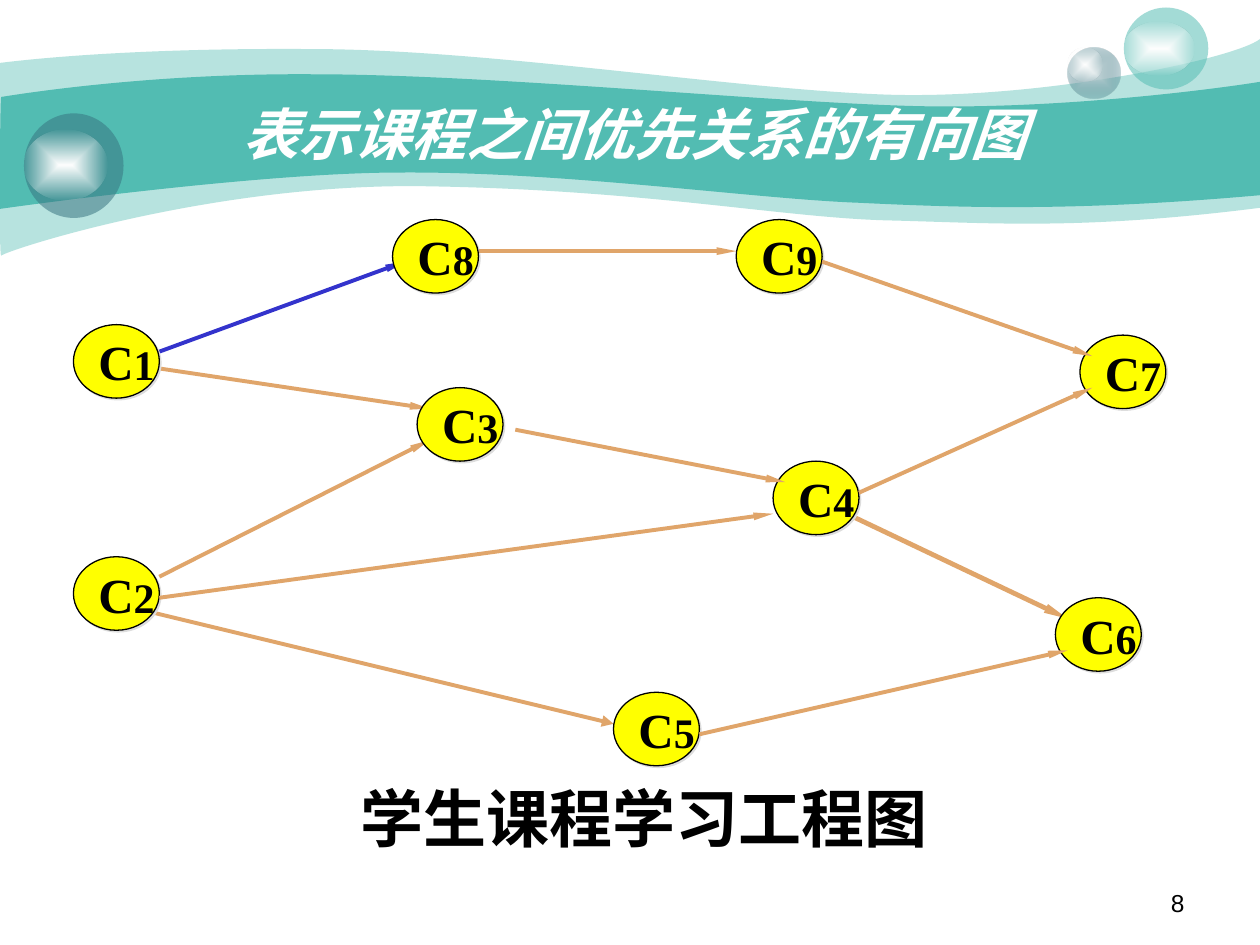
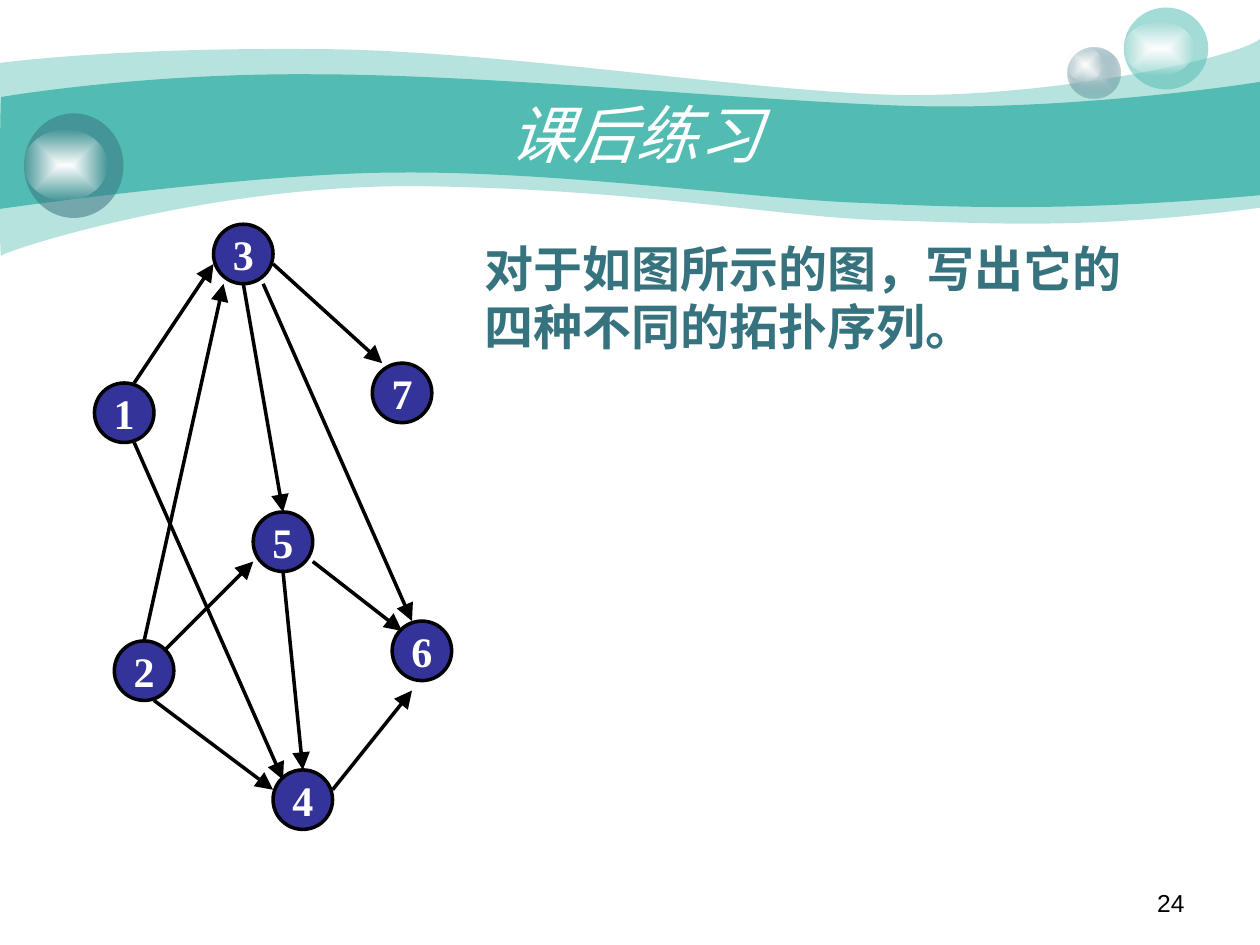
from dataclasses import dataclass
from lxml import etree
from pptx import Presentation
from pptx import util as u
from pptx.dml import color
from pptx.enum import shapes, text
from pptx.oxml import ns


@dataclass(frozen=True)
class Theme:
    teal: str = "52BCB2"
    slate: str = "37737F"
    mist: str = "CCDBDE"
    white: str = "FFFFFF"
    black: str = "000000"
    yellow: str = "FFFF00"
    navy: str = "333399"
    blue: str = "3333CC"
    orange: str = "E0A56A"
    shade: str = "DDDDDD"
    sans: str = "Arial"
    serif: str = "Times New Roman"
    caption: int = 36
    title: int = 32
    body: int = 28
    node: int = 24
    number: int = 14


THEME = Theme()


@dataclass(frozen=True)
class Grid:
    left: float
    top: float
    width: float
    height: float
    columns: int
    rows: int

    def point(self, column, row):
        return (u.Inches(self.left + column * self.width / self.columns),
                u.Inches(self.top + row * self.height / self.rows))

    def frame(self, column, row, columns, rows):
        return (*self.point(column, row),
                u.Inches(columns * self.width / self.columns),
                u.Inches(rows * self.height / self.rows))

    def inner(self, column, row, width, height, columns, rows):
        frame = self.frame(column, row, width, height)
        return Grid(*(length / u.Inches(1) for length in frame), columns, rows)


PAGE = Grid(0, 0, 10, 7.5, 100, 75)

WAVES = [
    (41, (0, 5), [
        [(2.4, 4.7), (10.7, 3.8), (24.7, 3.9)], [(38.6, 3.9), (57.5, 7), (69.9, 7.5)],
        [(82.2, 8), (98, 4.7), (100, 3.1)], [(100, 16.5)],
        [(85.8, 18.3), (78.7, 17.7), (70.5, 17.5)], [(62.2, 17.3), (51.5, 15.1), (34.3, 14.8)],
        [(17.2, 14.4), (0.4, 19.9), (0.1, 20.3)], [(-0.1, 20.8), (0, 7.5), (0, 5)]]),
    (100, (0.1, 7.7), [
        [(0.2, 7.7), (11, 5.8), (24.8, 5.9)], [(38.6, 5.9), (59.5, 8), (71.8, 8.4)],
        [(84.1, 8.8), (97.6, 6.9), (100, 6.5)], [(100, 15.5)],
        [(85.3, 16.8), (76.5, 16.5), (68.2, 16.1)], [(59.9, 15.8), (44.7, 13.6), (31.7, 13.7)],
        [(20.3, 13.7), (-0.2, 16.6), (-0.1, 16.6)], [(0, 16.6), (0, 7.7), (0.1, 7.7)]]),
]

GLOW = [(0, THEME.white, 100), (100, THEME.white, 0)]
BALLS = [
    ((84.7, 3.8, 4.2, 4), [(0, THEME.mist, 100), (100, THEME.slate, 31)]),
    ((84.7, 3.8, 2.8, 2.7), GLOW),
    ((89.2, 0.6, 6.7, 6.5), [(0, THEME.teal, 53)]),
    ((89.2, 1.7, 5.6, 4.3), GLOW),
    ((1.9, 9, 7.9, 8.3), [(0, THEME.slate, 53)]),
    ((1.9, 10.3, 6.6, 5.6), GLOW),
]


def set_all(target, values):
    for name, value in values.items():
        setattr(target, name, value)


def add_element(parent, tag, **values):
    return etree.SubElement(parent, ns.qn(tag), {key: str(value) for key, value in values.items()})


def paint(shape, fill, line=None, width=0):
    shape.shadow.inherit = False
    shape.fill.solid()
    shape.fill.fore_color.rgb = color.RGBColor.from_string(fill)
    if line:
        shape.line.color.rgb = color.RGBColor.from_string(line)
        shape.line.width = u.Pt(width)
    else:
        shape.line.fill.background()


def add_alpha(parent, share):
    if share < 100:
        add_element(parent, "a:alpha", val=share * 1000)


def fill_stops(shape, stops):
    paint(shape, stops[0][1])
    solid = shape.element.spPr.find(ns.qn("a:solidFill"))
    if len(stops) == 1:
        add_alpha(solid[0], stops[0][2])
        return
    gradient = etree.Element(ns.qn("a:gradFill"), rotWithShape="1")
    stop_list = add_element(gradient, "a:gsLst")
    for position, hue, opacity in stops:
        stop = add_element(stop_list, "a:gs", pos=position * 1000)
        add_alpha(add_element(stop, "a:srgbClr", val=hue), opacity)
    center = add_element(gradient, "a:path", path="rect")
    add_element(center, "a:fillToRect", l=50000, t=50000, r=50000, b=50000)
    solid.getparent().replace(solid, gradient)


def add_wave(page, area, start, segments):
    builder = page.shapes.build_freeform(*area.point(*start))
    builder.add_line_segments([area.point(*spot) for segment in segments for spot in segment])
    wave = builder.convert_to_shape()
    lines = iter(wave.element.xpath(".//a:lnTo"))
    for segment in segments:
        if len(segment) == 1:
            next(lines)
            continue
        group = [next(lines) for _ in segment]
        curve = etree.Element(ns.qn("a:cubicBezTo"))
        group[0].addprevious(curve)
        for line in group:
            curve.append(line[0])
            line.getparent().remove(line)
    return wave


def decorate_master(master, page, area):
    ornaments = []
    for opacity, start, segments in WAVES:
        wave = add_wave(page, area, start, segments)
        fill_stops(wave, [(0, THEME.teal, opacity)])
        ornaments.append(wave)
    for frame, stops in BALLS:
        ball = page.shapes.add_shape(shapes.MSO_SHAPE.OVAL, *area.frame(*frame))
        fill_stops(ball, stops)
        ornaments.append(ball)
    for number, ornament in enumerate(ornaments, 101):
        ornament.element.xpath(".//p:cNvPr")[0].set("id", str(number))
        master.shapes.element.append(ornament.element)


def write(shape, pieces, hue, align=text.PP_ALIGN.LEFT, anchor=text.MSO_ANCHOR.TOP, wrap=True, **style):
    frame = shape.text_frame
    set_all(frame, {"word_wrap": wrap, "vertical_anchor": anchor, "auto_size": text.MSO_AUTO_SIZE.NONE,
                    "margin_left": u.Inches(0.1), "margin_right": u.Inches(0.1),
                    "margin_top": u.Inches(0.05), "margin_bottom": u.Inches(0.05)})
    para = frame.paragraphs[0]
    para.alignment = align
    for words, size in pieces:
        span = para.add_run()
        span.text = words
        set_all(span.font, {"size": u.Pt(size), **style})
        span.font.color.rgb = color.RGBColor.from_string(hue)


def add_title(page, area, words, size, bold):
    title = page.shapes.title
    set_all(title, dict(zip(("left", "top", "width", "height"), area.frame(10, 7.5, 80.8, 6.2))))
    write(title, [(words, size)], THEME.white, text.PP_ALIGN.CENTER, text.MSO_ANCHOR.MIDDLE,
          name=THEME.sans, bold=bold, italic=True)


def add_text(page, frame, words, size, hue, **style):
    write(page.shapes.add_textbox(*frame), [(words, size)], hue, **style)


def add_page_number(page, area, number):
    add_text(page, area.frame(71.7, 70, 23.3, 3.5), number, THEME.number, THEME.black,
             align=text.PP_ALIGN.RIGHT, name=THEME.sans)


def add_arrow(page, grid, start, end, hue, width, head):
    arrow = page.shapes.add_connector(shapes.MSO_CONNECTOR.STRAIGHT, *grid.point(*start), *grid.point(*end))
    arrow.line.color.rgb = color.RGBColor.from_string(hue)
    arrow.line.width = u.Pt(width)
    outline = arrow.element.spPr.find(ns.qn("a:ln"))
    add_element(outline, "a:tailEnd", type="triangle", w=head[0], len=head[1])
    add_element(arrow.element.spPr, "a:effectLst")


def add_node(page, grid, spot, span, pieces, fill, hue, width, align):
    node = page.shapes.add_shape(shapes.MSO_SHAPE.OVAL, *grid.frame(*spot, span, span))
    paint(node, fill, THEME.black, width)
    write(node, pieces, hue, align, text.MSO_ANCHOR.MIDDLE, False, name=THEME.serif, bold=True)
    return node


def add_shadow(node):
    effects = node.element.spPr.find(ns.qn("a:effectLst"))
    shadow = add_element(effects, "a:outerShdw", dist=u.Pt(1.4), dir=45 * 60000, algn="ctr", rotWithShape=0)
    add_element(shadow, "a:srgbClr", val=THEME.shade)


def draw_courses(page, grid):
    courses = {8: (26, 0), 3: (28, 16), 5: (44, 45), 4: (57, 23), 9: (54, 0),
               6: (80, 36), 7: (82, 11), 1: (0, 10), 2: (0, 32.1)}
    slim = ("sm", "lg")
    below = [
        ((63, 28), (81, 38), THEME.orange, 2.75, slim),
        ((5, 37), (44, 48), THEME.orange, 2.25, ("med", "med")),
        ((7, 34), (29, 21), THEME.orange, 2.25, slim),
        ((6, 14), (29, 18), THEME.orange, 2.25, slim),
        ((6, 13), (27, 4), THEME.blue, 2.25, slim),
    ]
    above = [((33, 3), (54, 3)), ((36, 20), (58, 25)), ((7, 36), (57, 28)),
             ((61, 4), (83, 13)), ((64, 26), (83, 16)), ((51, 49), (81, 41))]
    for arrow in below:
        add_arrow(page, grid, *arrow)
    for number, spot in courses.items():
        pieces = [("C", THEME.body), (str(number), THEME.node)]
        add_shadow(add_node(page, grid, spot, 7, pieces, THEME.yellow, THEME.black, 0.75, text.PP_ALIGN.LEFT))
    for start, end in above:
        add_arrow(page, grid, start, end, THEME.orange, 2.25, slim)


def draw_exercise(page, grid):
    vertices = {3: (12, 0), 2: (2, 42), 5: (16, 29), 7: (28, 14), 1: (0, 16), 4: (18, 55), 6: (30, 40)}
    arrows = [((15, 6), (19, 29)), ((4, 16), (12, 4)), ((18, 4), (29, 14)), ((5, 42), (13, 6)),
              ((17, 6), (32, 40)), ((7, 43), (16, 34)), ((19, 35), (21, 55)), ((22, 34), (31, 41)),
              ((6, 48), (18, 57)), ((24, 57), (32, 47)), ((4, 22), (19, 56))]
    for number, spot in vertices.items():
        add_node(page, grid, spot, 6, [(str(number), THEME.node)], THEME.navy, THEME.white, 2,
                 text.PP_ALIGN.CENTER)
    for start, end in arrows:
        add_arrow(page, grid, start, end, THEME.black, 2, ("lg", "lg"))


def build_course_page(page, area):
    add_title(page, area, "表示课程之间优先关系的有向图", THEME.title, True)
    add_page_number(page, area, "8")
    add_text(page, area.frame(27.6, 61.4, 47, 7), "学生课程学习工程图", THEME.caption, THEME.black,
             wrap=False, name=THEME.sans, bold=True)
    draw_courses(page, area.inner(5.83, 17.43, 86.7, 43.35, 89, 52))


def build_exercise_page(page, area):
    add_title(page, area, "课后练习", THEME.caption, False)
    add_page_number(page, area, "24")
    draw_exercise(page, area.inner(7.5, 17.8, 28.35, 48.03, 36, 61))
    add_text(page, area.frame(37.5, 18.4, 55.1, 10.4), "对于如图所示的图，写出它的四种不同的拓扑序列。",
             THEME.body, THEME.slate, name=THEME.serif, bold=True)


def main():
    deck = Presentation()
    deck.slide_width, deck.slide_height = u.Inches(PAGE.width), u.Inches(PAGE.height)
    pages = [deck.slides.add_slide(deck.slide_layouts[5]) for _ in range(2)]
    decorate_master(deck.slide_master, pages[0], PAGE)
    for page, build in zip(pages, (build_course_page, build_exercise_page)):
        build(page, PAGE)
    deck.save("out.pptx")


if __name__ == "__main__":
    main()
